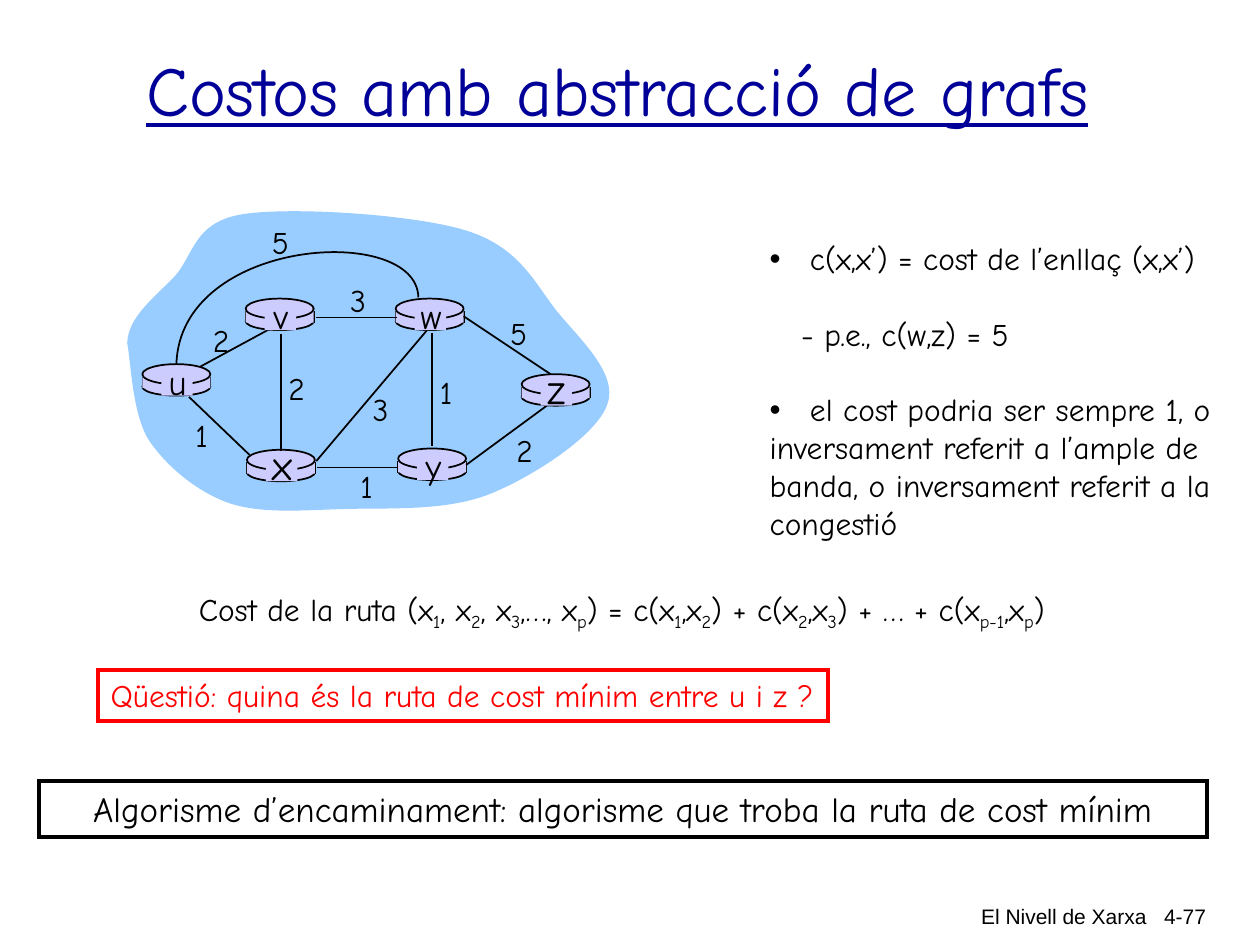
from lxml import etree
from pptx import Presentation
from pptx.dml.color import RGBColor
from pptx.enum.shapes import MSO_CONNECTOR, MSO_SHAPE
from pptx.enum.text import MSO_ANCHOR, PP_ALIGN
from pptx.oxml.ns import qn
from pptx.util import Inches, Pt

STRAIGHT = MSO_CONNECTOR.STRAIGHT
RECTANGLE, OVAL = MSO_SHAPE.RECTANGLE, MSO_SHAPE.OVAL
LEFT, CENTER, RIGHT = PP_ALIGN.LEFT, PP_ALIGN.CENTER, PP_ALIGN.RIGHT
TOP, MIDDLE = MSO_ANCHOR.TOP, MSO_ANCHOR.MIDDLE

COLORS = {"black": "000000", "cloud": "99CCFF", "router": "CCCCFF",
          "red": "FF0000", "title": "000099"}

ROUTERS = {"u": (1.13, 2.89, 20), "x": (1.96, 3.57, 24), "v": (1.95, 2.37, 20),
           "w": (3.14, 2.37, 20), "y": (3.16, 3.56, 20), "z": (4.14, 2.97, 24)}

UV_LINK = (1.59, 2.91, 2.18, 2.59)
LINKS = [(3.43, 2.64, 3.43, 3.54), (2.23, 2.65, 2.23, 3.58), (2.51, 3.66, 3.39, 2.62),
         (3.7, 3.69, 4.34, 3.22), (3.16, 3.71, 2.52, 3.71), (1.98, 3.61, 1.5, 3.15),
         (3.15, 2.52, 2.51, 2.52), (4.37, 2.97, 3.68, 2.51)]
UW_LINK = [(3.32, 2.36), (3.31, 1.77), (1.43, 1.88), (1.4, 2.89)]

COSTS = [("2", 1.59, 2.5), ("2", 2.19, 2.88), ("1", 1.44, 3.25), ("3", 2.86, 3.05),
         ("1", 2.75, 3.66), ("1", 3.38, 2.91), ("2", 4, 3.37), ("5", 3.95, 2.44),
         ("3", 2.68, 2.18), ("5", 2.06, 1.72)]

CLOUD = [(1.01, 2.72), (1.02, 2.51), (1.23, 2.36), (1.39, 2.19), (1.54, 2.02),
         (1.54, 1.76), (1.93, 1.7), (2.31, 1.64), (3.28, 1.7), (3.7, 1.83),
         (4.12, 1.96), (4.24, 2.24), (4.42, 2.47), (4.61, 2.7), (4.91, 2.97),
         (4.82, 3.21), (4.74, 3.45), (4.24, 3.78), (3.89, 3.92), (3.54, 4.06),
         (3.08, 4.03), (2.73, 4.04), (2.39, 4.05), (2.07, 4.08), (1.81, 3.99),
         (1.56, 3.9), (1.32, 3.7), (1.18, 3.49), (1.05, 3.28), (1.04, 2.88),
         (1.01, 2.72)]

# text, left margin, first-line indent, bullet, space before
NOTES = [("c(x,x’) = cost de l’enllaç (x,x’)", 0.32, -0.32, "•", 0),
         ("- p.e., c(w,z) = 5", 0.25, 0, None, 21.6),
         ("el cost podria ser sempre 1, o", 0.32, -0.32, "•", 21.6),
         ("inversament referit a l’ample de", 0, 0, None, 0),
         ("banda, o inversament referit a la", 0, 0, None, 0),
         ("congestió", 0, 0, None, 0)]

ROUTE_COST = ("Cost de la ruta (x|1|, x|2|, x|3|,…, x|p|) = c(x|1|,x|2|) + "
              "c(x|2|,x|3|) + … + c(x|p-1|,x|p|)")


class SlideBuilder:
    """Hold the style and the current slide, and draw each kind of element."""

    def __init__(self, slide):
        self.slide = slide
        self.shapes = slide.shapes
        self.font = {"name": "Comic Neue", "size": 18, "color": "black"}

    def color(self, name):
        return RGBColor.from_string(COLORS[name])

    def paint(self, shape, fill=None, line=None, width=1):
        shape.shadow.inherit = False
        if fill:
            shape.fill.solid()
            shape.fill.fore_color.rgb = self.color(fill)
        else:
            shape.fill.background()
        if line:
            shape.line.color.rgb = self.color(line)
            shape.line.width = Pt(width)
        else:
            shape.line.fill.background()
        return shape

    def box(self, kind, bounds, **paint):
        return self.paint(self.shapes.add_shape(kind, *map(Inches, bounds)), **paint)

    def curve(self, anchors, close=False, **paint):
        points = [(Inches(x), Inches(y)) for x, y in anchors]
        builder = self.shapes.build_freeform(*points[0])
        builder.add_line_segments(points[1:], close=close)
        shape = builder.convert_to_shape()
        segments = list(shape._element.iter(qn("a:lnTo")))
        for first in range(0, len(segments), 3):
            cubic = etree.Element(qn("a:cubicBezTo"))
            segments[first].addprevious(cubic)
            for segment in segments[first:first + 3]:
                cubic.append(segment[0])
                segment.getparent().remove(segment)
        return self.paint(shape, **paint)

    def link(self, x1, y1, x2, y2):
        connector = self.shapes.add_connector(STRAIGHT, *map(Inches, (x1, y1, x2, y2)))
        connector.line.color.rgb = self.color("black")
        connector.line.width = Pt(1)
        etree.SubElement(connector._element.spPr, qn("a:effectLst"))

    def run(self, paragraph, text, subscript=False, **changes):
        style = {**self.font, **changes}
        style["size"] = Pt(style["size"])
        run = paragraph.add_run()
        run.text = text
        run.font.color.rgb = self.color(style.pop("color"))
        for name, value in style.items():
            setattr(run.font, name, value)
        if subscript:
            run._r.get_or_add_rPr().set("baseline", "-25000")

    def fill_text(self, shape, text, align=LEFT, anchor=TOP, wrap=True, **font):
        frame = shape.text_frame
        frame.word_wrap, frame.vertical_anchor = wrap, anchor
        paragraph = frame.paragraphs[0]
        paragraph.alignment = align
        for index, part in enumerate(text.split("|")):
            self.run(paragraph, part, subscript=index % 2 == 1, **font)

    def text(self, text, bounds, **options):
        self.fill_text(self.shapes.add_textbox(*map(Inches, bounds)), text, **options)

    def framed_text(self, text, bounds, line, **options):
        shape = self.box(RECTANGLE, bounds, line=line, width=2.25)
        etree.SubElement(shape.line._get_or_add_ln(), qn("a:miter")).set("lim", "800000")
        self.fill_text(shape, text, **options)

    def notes(self, notes, bounds):
        frame = self.shapes.add_textbox(*map(Inches, bounds)).text_frame
        frame.word_wrap = True
        for index, (text, margin, indent, bullet, before) in enumerate(notes):
            paragraph = frame.add_paragraph() if index else frame.paragraphs[0]
            paragraph.space_before = Pt(before)
            properties = paragraph._p.get_or_add_pPr()
            properties.set("marL", str(Inches(margin)))
            properties.set("indent", str(Inches(indent)))
            if bullet:
                etree.SubElement(properties, qn("a:buFont")).set("typeface", "Arial")
                etree.SubElement(properties, qn("a:buChar")).set("char", bullet)
            self.run(paragraph, text)

    def router(self, left, top):
        right, width = left + 0.54, 0.54
        self.box(OVAL, (left, top + 0.11, width, 0.14), fill="router", line="black")
        for side in (left, right):
            self.link(side, top + 0.1, side, top + 0.19)
        self.box(RECTANGLE, (left, top + 0.1, width, 0.09), fill="router")
        self.box(OVAL, (left, top, width, 0.16), fill="router", line="black")

    def router_name(self, name, left, top, size):
        height = 0.5 if size == 24 else 0.44
        self.box(RECTANGLE, (left + 0.15, top + 0.02, 0.25, 0.23), fill="router")
        self.text(name, (left + 0.1, top + 0.36 - height, 0.36, height),
                  align=CENTER, wrap=False, size=size)


def main():
    presentation = Presentation()
    presentation.slide_width, presentation.slide_height = Inches(10), Inches(7.5)
    builder = SlideBuilder(presentation.slides.add_slide(presentation.slide_layouts[6]))

    for text, bounds in (("El Nivell de Xarxa", (6.03, 7.12, 3.17, 0.41)),
                         ("4-77", (8.93, 7.12, 0.74, 0.38))):
        builder.text(text, bounds, align=RIGHT, name="Arial", size=12)

    builder.curve(CLOUD, close=True, fill="cloud")
    builder.link(*UV_LINK)
    for left, top, _ in ROUTERS.values():
        builder.router(left, top)
    for link in LINKS:
        builder.link(*link)
    builder.curve(UW_LINK, line="black")
    for name, place in ROUTERS.items():
        builder.router_name(name, *place)
    for cost, left, top in COSTS:
        builder.text(cost, (left, top, 0.32, 0.4), align=CENTER, wrap=False)

    builder.notes(NOTES, (6.01, 1.85, 3.79, 2.5))
    builder.text(ROUTE_COST, (1.48, 4.63, 7.09, 0.44))
    builder.framed_text("Qüestió: quina és la ruta de cost mínim entre u i z ?",
                        (0.78, 5.32, 5.79, 0.4), "red", color="red")
    builder.framed_text("Algorisme d’encaminament: algorisme que troba la ruta de cost mínim",
                        (0.31, 6.2, 9.27, 0.44), "black", align=CENTER, size=20)
    builder.text("Costos amb abstracció de grafs", (0.58, 0.25, 8.64, 0.9),
                 align=CENTER, anchor=MIDDLE, size=40, color="title", underline=True)
    presentation.save("out.pptx")


if __name__ == "__main__":
    main()
